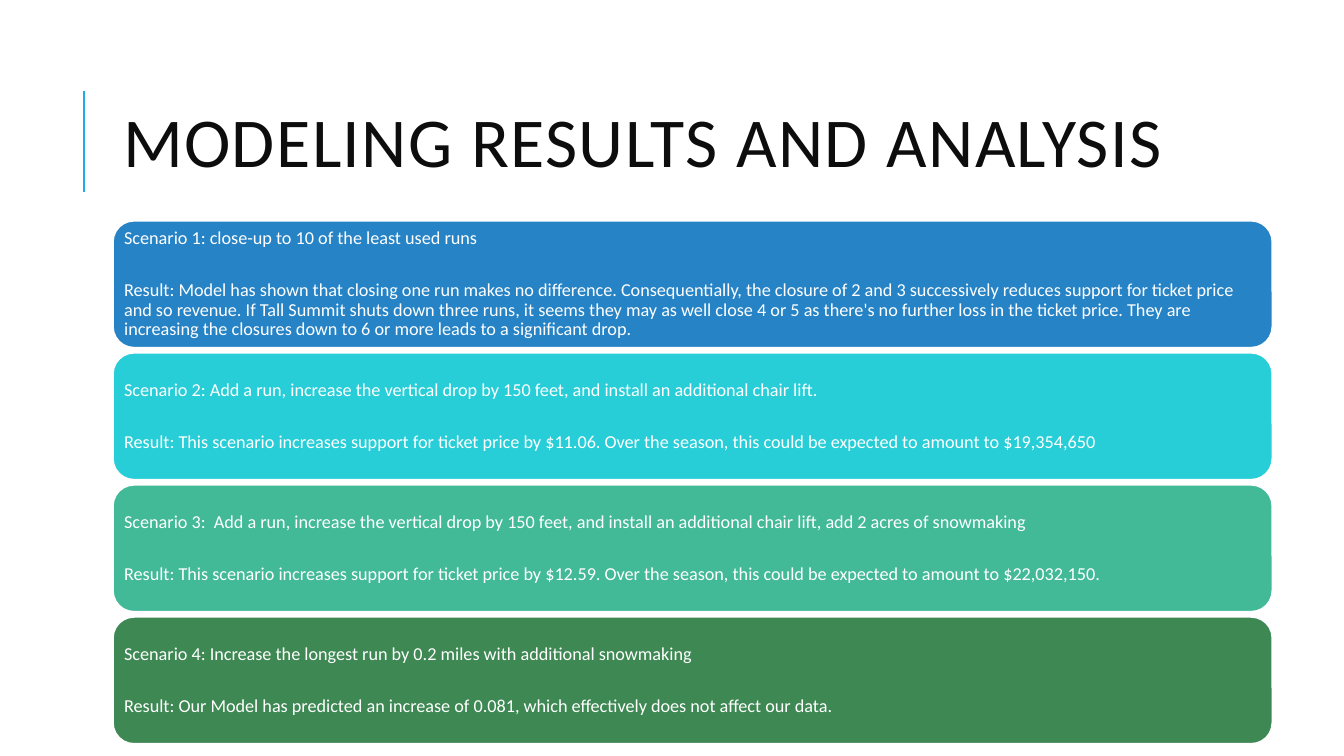
"""Build the slide on modeling results for four resort scenarios."""
from lxml import etree
from pptx import Presentation
from pptx.dml.color import RGBColor
from pptx.enum import shapes, text
from pptx.oxml.ns import qn
from pptx.util import Inches, Pt

TITLE = "MODELING RESULTS AND ANALYSIS"
SCENARIOS = [
    ("2683C6",
     "Scenario 1: close-up to 10 of the least used runs",
     "Result: Model has shown that closing one run makes no difference. "
     "Consequentially, the closure of 2 and 3 successively reduces support for "
     "ticket price and so revenue. If Tall Summit shuts down three runs, it seems "
     "they may as well close 4 or 5 as there's no further loss in the ticket price. "
     "They are increasing the closures down to 6 or more leads to a significant drop."),
    ("27CED7",
     "Scenario 2: Add a run, increase the vertical drop by 150 feet, and install "
     "an additional chair lift.",
     "Result: This scenario increases support for ticket price by $11.06. Over the "
     "season, this could be expected to amount to $19,354,650"),
    ("42BA97",
     "Scenario 3:  Add a run, increase the vertical drop by 150 feet, and install "
     "an additional chair lift, add 2 acres of snowmaking",
     "Result: This scenario increases support for ticket price by $12.59. Over the "
     "season, this could be expected to amount to $22,032,150."),
    ("3E8853",
     "Scenario 4: Increase the longest run by 0.2 miles with additional snowmaking",
     "Result: Our Model has predicted an increase of 0.081, which effectively does "
     "not affect our data."),
]
LEFT, TOP, WIDTH, HEIGHT, GAP = 1.12, 2.19, 11.5, 1.26, 0.05


def color(value):
    return RGBColor.from_string(value)


def style(paragraph, size, value, spacing):
    paragraph.alignment = text.PP_ALIGN.LEFT
    paragraph.line_spacing = spacing
    for span in paragraph.runs:
        span.font.name = "Calibri"
        span.font.size = Pt(size)
        span.font.color.rgb = color(value)


def add_title(page):
    title = page.shapes.title
    title.left, title.top = Inches(LEFT), Inches(0.64)
    title.width, title.height = Inches(10.63), Inches(1.64)
    frame = title.text_frame
    frame.text = TITLE
    frame.auto_size = text.MSO_AUTO_SIZE.NONE
    frame.vertical_anchor = text.MSO_ANCHOR.MIDDLE
    style(frame.paragraphs[0], 50, "0D0D0D", 0.8)
    frame.paragraphs[0].runs[0].font._element.set("spc", "100")


def add_title_rule(page):
    rule = page.shapes.add_connector(
        shapes.MSO_CONNECTOR.STRAIGHT,
        Inches(0.83), Inches(0.9), Inches(0.83), Inches(1.9))
    rule.line.color.rgb = color("1CADE4")
    rule.line.width = Pt(1.5)
    etree.SubElement(rule._element.spPr, qn("a:effectLst"))


def add_scenario(page, index, fill, scenario, result):
    box = page.shapes.add_shape(
        shapes.MSO_SHAPE.ROUNDED_RECTANGLE, Inches(LEFT),
        Inches(TOP + index * (HEIGHT + GAP)), Inches(WIDTH), Inches(HEIGHT))
    box.shadow.inherit = False
    box.fill.solid()
    box.fill.fore_color.rgb = color(fill)
    box.line.color.rgb = color("FFFFFF")
    box.line.width = Pt(1.25)
    frame = box.text_frame
    frame.word_wrap = True
    frame.vertical_anchor = text.MSO_ANCHOR.MIDDLE
    frame.margin_left = frame.margin_right = Inches(0.05)
    frame.margin_top = frame.margin_bottom = Inches(0.05)
    frame.text = f"{scenario}\n{result}"
    for paragraph in frame.paragraphs:
        style(paragraph, 13, "FFFFFF", 0.9)
    frame.paragraphs[0].space_after = Pt(23)


deck = Presentation()
deck.slide_width, deck.slide_height = Inches(13.33), Inches(7.5)
page = deck.slides.add_slide(deck.slide_layouts[5])
add_title_rule(page)
add_title(page)
for index, (fill, scenario, result) in enumerate(SCENARIOS):
    add_scenario(page, index, fill, scenario, result)
deck.save("out.pptx")
